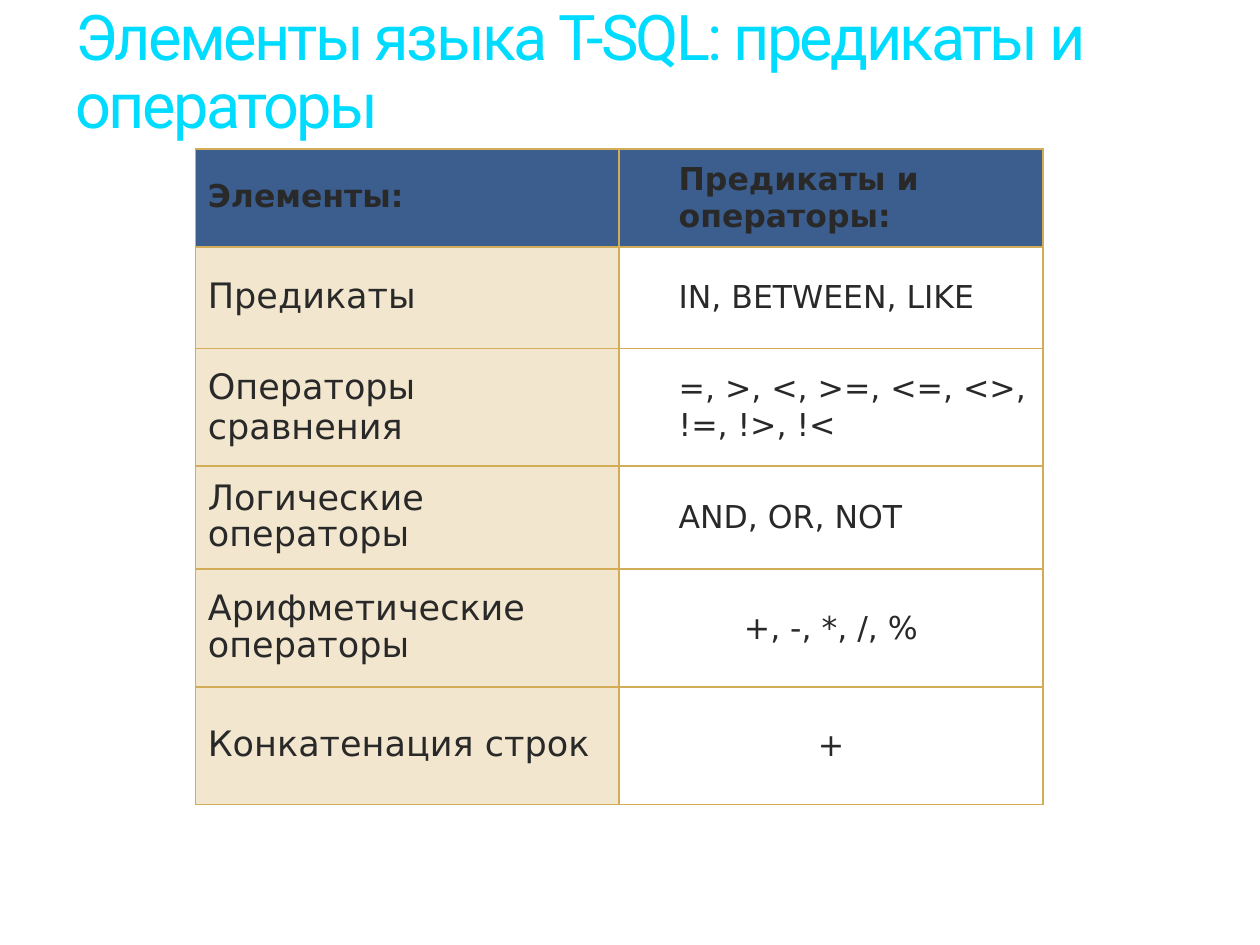
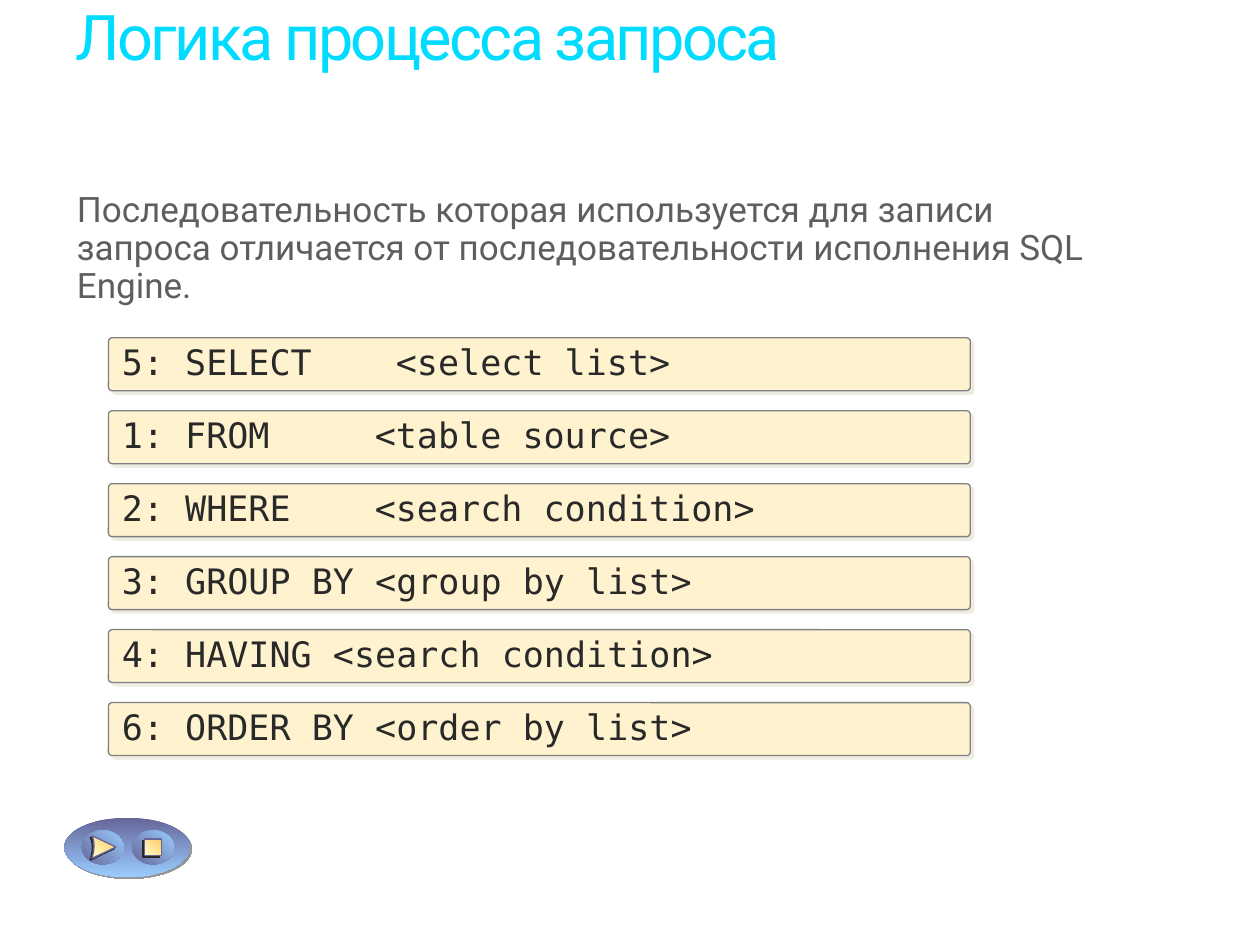
from lxml import etree
from pptx import Presentation
from pptx.dml.color import RGBColor
from pptx.enum.shapes import MSO_SHAPE
from pptx.enum.text import MSO_ANCHOR, MSO_AUTO_SIZE, PP_ALIGN
from pptx.oxml.ns import qn
from pptx.util import Pt

CYAN = RGBColor(0x00, 0xDC, 0xFF)
INK = RGBColor(0x29, 0x29, 0x29)
GREY_TEXT = RGBColor(0x5E, 0x5E, 0x5E)
HEADER_BLUE = RGBColor(0x3B, 0x5E, 0x8F)
SAND = RGBColor(0xF2, 0xE7, 0xCE)
WHITE = RGBColor(0xFF, 0xFF, 0xFF)
GOLD = RGBColor(0xD2, 0xAC, 0x56)
CREAM = RGBColor(0xFF, 0xF3, 0xCF)
OUTLINE = RGBColor(0x80, 0x80, 0x80)
PANEL_SHADOW = RGBColor(0xEE, 0xEC, 0xE1)
BUTTON_SHADOW = RGBColor(0x96, 0x96, 0x96)
INDIGO = RGBColor(0x66, 0x66, 0x99)
SKY = RGBColor(0x99, 0xCC, 0xFF)
PALE_YELLOW = RGBColor(0xFF, 0xFF, 0xCC)
AMBER = RGBColor(0xFF, 0xCC, 0x66)

SANS = "DejaVu Sans"
MONO = "DejaVu Sans Mono"
ROBOTO = "Roboto"

LEFT, CENTER = PP_ALIGN.LEFT, PP_ALIGN.CENTER
TOP, MIDDLE = MSO_ANCHOR.TOP, MSO_ANCHOR.MIDDLE
FIXED, GROW = MSO_AUTO_SIZE.NONE, MSO_AUTO_SIZE.SHAPE_TO_FIT_TEXT
ROUNDED, OVAL, SQUARE = MSO_SHAPE.ROUNDED_RECTANGLE, MSO_SHAPE.OVAL, MSO_SHAPE.RECTANGLE

TITLE_LAYOUT, CONTENT_LAYOUT = 5, 1
TIGHT = 0.9
TITLE_TRACKING = -150
TAB_STOP = Pt(144.5)
SECOND_LEVEL_INDENT = Pt(27)

HEADERS = ("Элементы:", "Предикаты и операторы:")
OPERATOR_ROWS = [
    ("Предикаты", "IN, BETWEEN, LIKE", TIGHT, LEFT),
    ("Операторы сравнения", "=, >, <, >=, <=, <>, !=, !>, !<", 1.0, LEFT),
    ("Логические операторы", "AND, OR, NOT", TIGHT, LEFT),
    ("Арифметические операторы", "+, -, *, /, %", TIGHT, CENTER),
    ("Конкатенация строк", "+", TIGHT, CENTER),
]
COLUMN_WIDTHS = (242, 242.5)
ROW_HEIGHTS = (49, 58, 67, 59, 67.5, 67)

QUERY_STEPS = [
    "5: SELECT\t <select list>",
    "1: FROM\t<table source>",
    "2: WHERE\t<search condition>",
    "3: GROUP BY <group by list>",
    "4: HAVING <search condition>",
    "6: ORDER BY <order by list>",
]


def assign(target, values):
    for name, value in values.items():
        setattr(target, name, value)


def write(frame, text, font, size, color, bold=False, align=LEFT, spacing=TIGHT):
    frame.text = text
    paragraph = frame.paragraphs[0]
    assign(paragraph, {"alignment": align, "line_spacing": spacing, "space_before": Pt(0)})
    run = paragraph.runs[0]
    assign(run.font, {"name": font, "size": Pt(size), "bold": bold})
    run.font.color.rgb = color
    return paragraph


def indent(paragraph, margin):
    properties = paragraph._p.get_or_add_pPr()
    properties.set("marL", str(margin))
    properties.set("indent", "0")
    return properties


def place(placeholder, left, top, width, height):
    assign(placeholder, {"left": Pt(left), "top": Pt(top),
                         "width": Pt(width), "height": Pt(height)})
    assign(placeholder.text_frame, {"word_wrap": True, "auto_size": FIXED,
                                    "vertical_anchor": TOP})


def add_titled_slide(deck, layout, title, width, height):
    slide = deck.slides.add_slide(deck.slide_layouts[layout])
    place(slide.shapes.title, 36, 0, width, height)
    paragraph = write(slide.shapes.title.text_frame, title, ROBOTO, 36, CYAN)
    paragraph.runs[0]._r.get_or_add_rPr().set("spc", str(TITLE_TRACKING))
    return slide


def add_color(parent, color):
    etree.SubElement(parent, qn("a:srgbClr"), val=str(color))


def style_cell(cell, fill):
    properties = cell._tc.get_or_add_tcPr()
    for side in ("L", "R", "T", "B"):
        border = etree.SubElement(properties, qn(f"a:ln{side}"), w=str(Pt(1)))
        add_color(etree.SubElement(border, qn("a:solidFill")), GOLD)
    cell.fill.solid()
    cell.fill.fore_color.rgb = fill
    margins = ("margin_left", "margin_right", "margin_top", "margin_bottom")
    assign(cell, dict.fromkeys(margins, Pt(7.2)))
    cell.vertical_anchor = MIDDLE


def fill_row(table, row, name, operators, name_spacing, align, header=False):
    name_cell, operators_cell = table.cell(row, 0), table.cell(row, 1)
    style_cell(name_cell, HEADER_BLUE if header else SAND)
    style_cell(operators_cell, HEADER_BLUE if header else WHITE)
    write(name_cell.text_frame, name, SANS, 18 if header else 20, INK, header,
          spacing=name_spacing)
    paragraph = write(operators_cell.text_frame, operators, SANS, 18, INK, header,
                      align, 1.0)
    if align == LEFT:
        paragraph.level = 1
        indent(paragraph, SECOND_LEVEL_INDENT)


def add_operator_table(slide):
    table = slide.shapes.add_table(
        len(ROW_HEIGHTS), len(COLUMN_WIDTHS), Pt(111.6), Pt(85),
        Pt(sum(COLUMN_WIDTHS)), Pt(sum(ROW_HEIGHTS))).table
    assign(table, {"first_row": False, "horz_banding": False})
    for column, width in zip(table.columns, COLUMN_WIDTHS):
        column.width = Pt(width)
    for row, height in zip(table.rows, ROW_HEIGHTS):
        row.height = Pt(height)
    fill_row(table, 0, *HEADERS, TIGHT, LEFT, header=True)
    for number, content in enumerate(OPERATOR_ROWS, 1):
        fill_row(table, number, *content)


def add_shadow(shape, color, distance, angle):
    effects = shape._element.spPr.find(qn("a:effectLst"))
    shadow = etree.SubElement(effects, qn("a:outerShdw"), blurRad="0",
                              dist=str(Pt(distance)), dir=str(angle * 60000),
                              algn="ctr", rotWithShape="0")
    add_color(shadow, color)


def set_outline(shape, color):
    shape.line.color.rgb = color
    shape.line.width = Pt(0.75)


def set_gradient(shape, start, end, angle):
    shape.shadow.inherit = False
    shape.fill.gradient()
    shape.fill.gradient_angle = angle
    for stop, color in zip(shape.fill.gradient_stops, (start, end)):
        stop.color.rgb = color


def add_step(slide, text, top):
    panel = slide.shapes.add_shape(ROUNDED, Pt(62), Pt(top), Pt(492.5), Pt(30.25))
    panel.adjustments[0] = 0.07
    panel.shadow.inherit = False
    panel.fill.solid()
    panel.fill.fore_color.rgb = CREAM
    set_outline(panel, OUTLINE)
    add_shadow(panel, PANEL_SHADOW, 2.8, 45)
    assign(panel.text_frame, {"word_wrap": True, "auto_size": GROW,
                              "vertical_anchor": MIDDLE})
    paragraph = write(panel.text_frame, text, MONO, 20, INK)
    tabs = etree.SubElement(paragraph._p.get_or_add_pPr(), qn("a:tabLst"))
    etree.SubElement(tabs, qn("a:tab"), pos=str(TAB_STOP), algn="l")


def add_oval(group, left, top, width, height, angle):
    oval = group.shapes.add_shape(OVAL, Pt(left), Pt(top), Pt(width), Pt(height))
    set_gradient(oval, INDIGO, SKY, angle)
    oval.line.fill.background()
    return oval


def style_symbol(symbol):
    set_gradient(symbol, PALE_YELLOW, AMBER, 45)
    set_outline(symbol, INDIGO)
    add_shadow(symbol, INK, 1.4, 135)


def add_play_symbol(group, left, top, width, height):
    steps = 12
    curve = []
    for step in range(1, steps + 1):
        t = step / steps
        bulge = 0.63 * t * (1 - t) ** 2
        drop = 3 * 0.39 * t * (1 - t) ** 2 + 3 * t ** 2 * (1 - t) + t ** 3
        curve.append((Pt(left + width * bulge), Pt(top + height * drop)))
    builder = group.shapes.build_freeform(Pt(left), Pt(top))
    builder.add_line_segments(curve + [(Pt(left + width), Pt(top + height / 2))])
    style_symbol(builder.convert_to_shape())


def add_buttons(slide):
    play_group = slide.shapes.add_group_shape()
    base = add_oval(play_group, 36.75, 467.25, 72, 34, 270)
    add_shadow(base, BUTTON_SHADOW, 1.4, 45)
    add_oval(play_group, 46.75, 474.5, 24, 19.5, 45)
    add_play_symbol(play_group, 52.5, 477.5, 13.75, 13)
    stop_group = slide.shapes.add_group_shape()
    add_oval(stop_group, 75.5, 474.5, 24, 19.5, 45)
    style_symbol(stop_group.shapes.add_shape(SQUARE, Pt(82.75), Pt(479.5), Pt(9.5), Pt(9.5)))


def build_operators_slide(deck):
    slide = add_titled_slide(deck, TITLE_LAYOUT,
                             "Элементы языка T-SQL: предикаты и операторы", 672.5, 77)
    add_operator_table(slide)


def build_query_slide(deck):
    slide = add_titled_slide(deck, CONTENT_LAYOUT, "Логика процесса запроса", 612, 58.5)
    body = slide.placeholders[1]
    place(body, 36.75, 106.5, 610.5, 67)
    paragraph = write(body.text_frame,
                      "Последовательность которая используется для записи запроса "
                      "отличается от последовательности исполнения SQL Engine.",
                      ROBOTO, 20, GREY_TEXT)
    etree.SubElement(indent(paragraph, 0), qn("a:buNone"))
    for position, text in enumerate(QUERY_STEPS):
        add_step(slide, text, 193 + position * 41.7)
    add_buttons(slide)


def main():
    deck = Presentation()
    assign(deck, {"slide_width": Pt(720), "slide_height": Pt(540)})
    build_operators_slide(deck)
    build_query_slide(deck)
    deck.save("out.pptx")


main()
